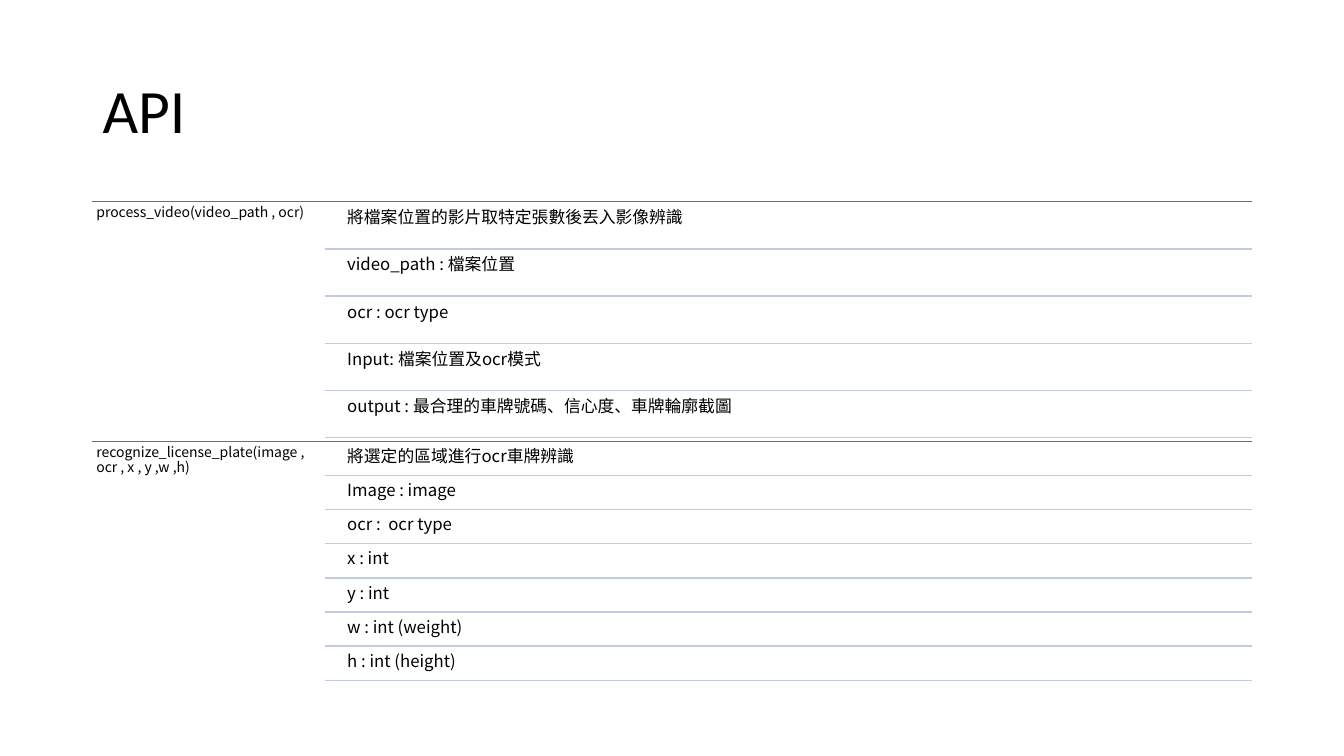
from dataclasses import dataclass

from lxml.etree import SubElement
from pptx import Presentation
from pptx.dml.color import RGBColor
from pptx.enum.shapes import MSO_CONNECTOR as Connector
from pptx.enum.text import MSO_ANCHOR as Anchor, MSO_AUTO_SIZE as AutoSize, PP_ALIGN as Align
from pptx.oxml.ns import qn
from pptx.shapes.shapetree import GroupShapes
from pptx.text.text import TextFrame
from pptx.util import Cm, Pt

BLACK = RGBColor(0x00, 0x00, 0x00)
SECTION_BLUE = RGBColor(0x44, 0x72, 0xC4)
ROW_BLUE = RGBColor(0xC1, 0xC9, 0xE4)
TITLE_FONT = "Calibri"
BODY_FONT = "Noto Sans CJK SC"

# Shared column positions, in centimetres
LEFT, RIGHT = 2.33, 31.54
RULE_LEFT, DETAIL_LEFT = 8.18, 8.62
SECTION_HEIGHT = 6.04


@dataclass
class ApiFunction:
    signature: str
    top: float
    pitch: float
    gap: float
    details: list[str]


FUNCTIONS = [
    ApiFunction("process_video(video_path , ocr)", 5.08, 1.19, 0.06, [
        "將檔案位置的影片取特定張數後丟入影像辨識",
        "video_path : 檔案位置",
        "ocr : ocr type",
        "Input: 檔案位置及ocr模式",
        "output : 最合理的車牌號碼、信心度、車牌輪廓截圖",
    ]),
    ApiFunction("recognize_license_plate(image , ocr , x , y ,w ,h)", 11.12, 0.86, 0.04, [
        "將選定的區域進行ocr車牌辨識",
        "Image : image",
        "ocr :  ocr type",
        "x : int",
        "y : int",
        "w : int (weight)",
        "h : int (height)",
    ]),
]


def write_text(frame: TextFrame, text: str, size: float, font: str) -> None:
    frame.word_wrap = True
    frame.auto_size = AutoSize.NONE
    para = frame.paragraphs[0]
    para.alignment = Align.LEFT
    para.line_spacing = 0.9
    span = para.add_run()
    span.text = text
    span.font.size = Pt(size)
    span.font.name = font
    span.font.color.rgb = BLACK
    # East Asian characters use the same typeface
    SubElement(span.font._element, qn("a:ea")).set("typeface", font)


def add_label(shapes: GroupShapes, text: str, left: float, top: float,
              width: float, height: float, size: float, inset: float) -> None:
    box = shapes.add_textbox(Cm(left), Cm(top), Cm(width), Cm(height))
    frame = box.text_frame
    frame.margin_left = frame.margin_right = Cm(inset)
    frame.margin_top = frame.margin_bottom = Cm(inset)
    frame.vertical_anchor = Anchor.TOP
    write_text(frame, text, size, BODY_FONT)


def add_rule(shapes: GroupShapes, left: float, y: float, color: RGBColor) -> None:
    rule = shapes.add_connector(Connector.STRAIGHT, Cm(left), Cm(y), Cm(RIGHT), Cm(y))
    rule.line.color.rgb = color
    rule.line.width = Pt(1)
    SubElement(rule._element.spPr, qn("a:effectLst"))


def add_function(shapes: GroupShapes, function: ApiFunction) -> None:
    add_rule(shapes, LEFT, function.top, SECTION_BLUE)
    add_label(shapes, function.signature, LEFT, function.top,
              RULE_LEFT - LEFT, SECTION_HEIGHT, 10, 0.1)
    for index, detail in enumerate(function.details):
        row_top = function.top + index * function.pitch
        add_label(shapes, detail, DETAIL_LEFT, row_top + function.gap,
                  RIGHT - DETAIL_LEFT, function.pitch - function.gap, 12, 0.13)
        add_rule(shapes, RULE_LEFT, row_top + function.pitch, ROW_BLUE)


def main() -> None:
    deck = Presentation()
    deck.slide_width, deck.slide_height = Cm(33.87), Cm(19.05)
    page = deck.slides.add_slide(deck.slide_layouts[5])

    # Title
    title = page.shapes.title
    title.left, title.top = Cm(LEFT), Cm(1.01)
    title.width, title.height = Cm(RIGHT - LEFT), Cm(3.68)
    title.text_frame.vertical_anchor = Anchor.MIDDLE
    write_text(title.text_frame, "API", 44, TITLE_FONT)

    # Function list
    function_list = page.shapes.add_group_shape()
    for function in FUNCTIONS:
        add_function(function_list.shapes, function)

    deck.save("out.pptx")


if __name__ == "__main__":
    main()
